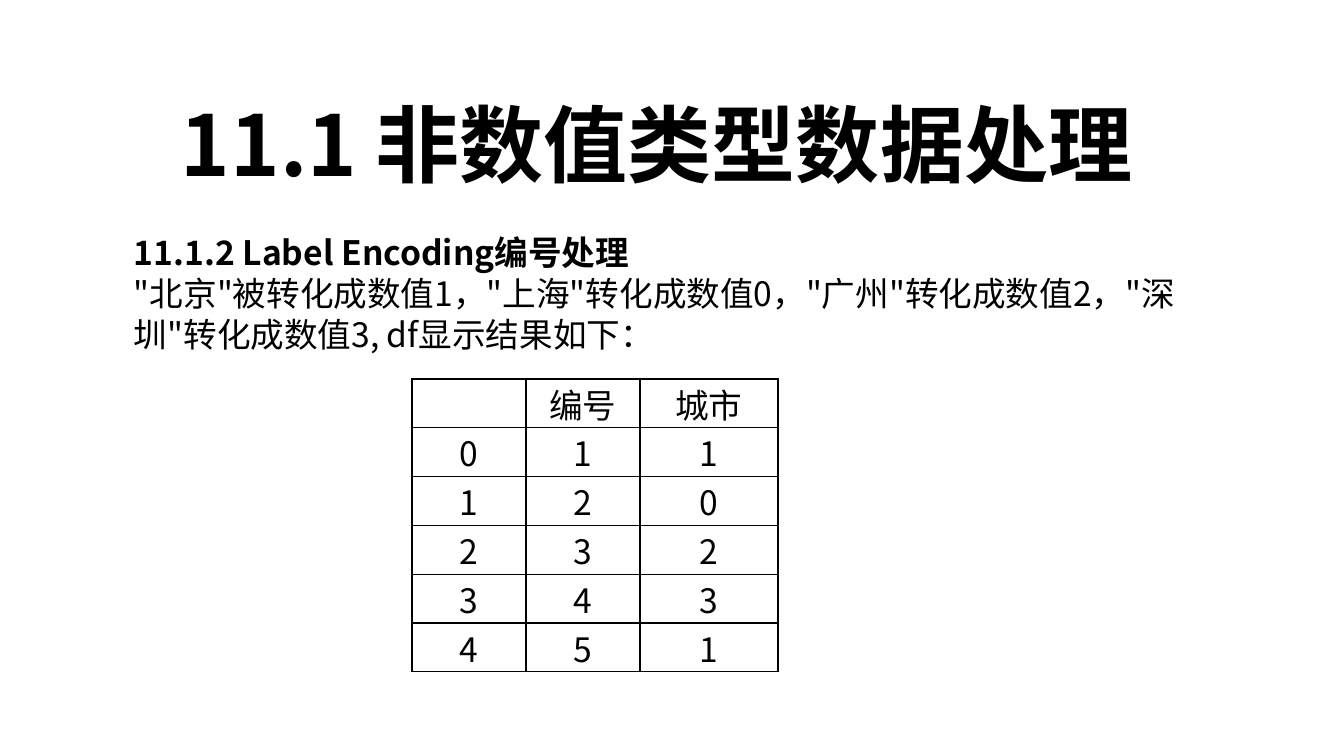
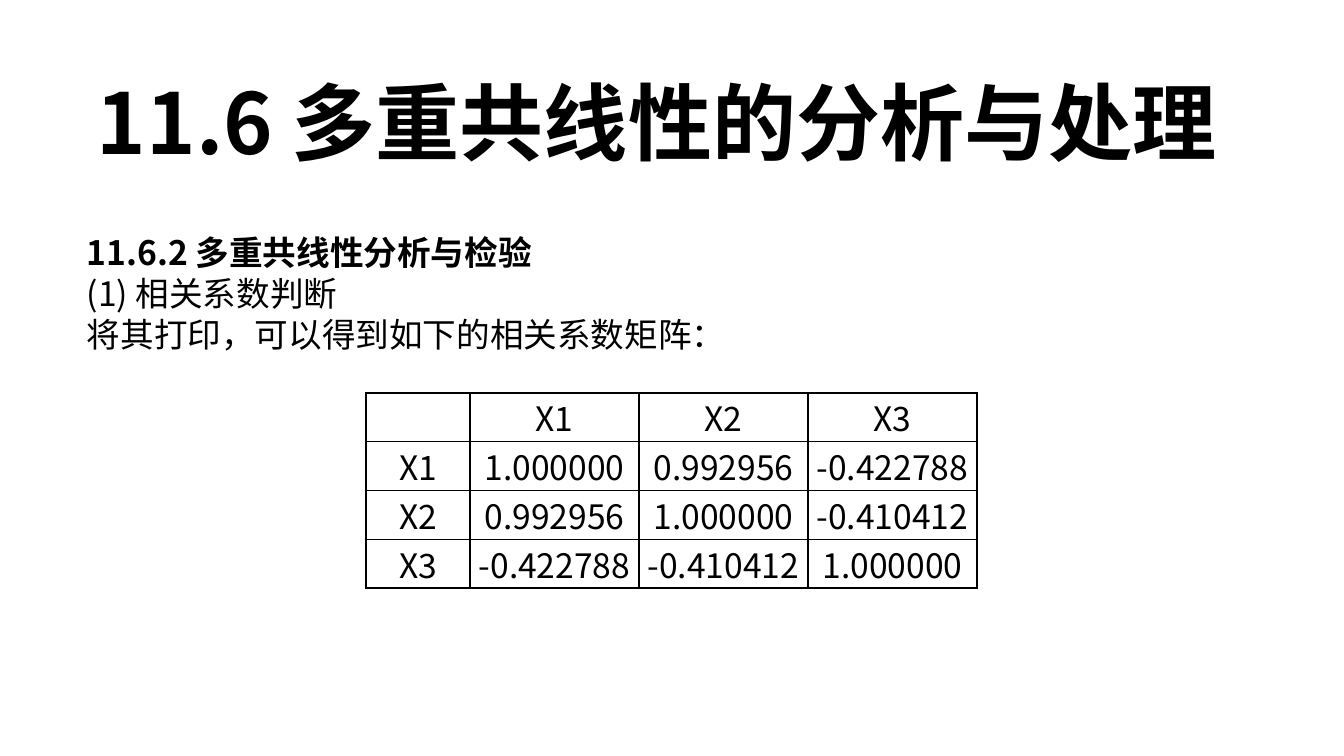
import pptx
import pptx.util
import pptx.dml.color
import pptx.enum.text
import pptx.oxml
import pptx.oxml.ns
from lxml import etree

# Content
DECK = [
    {
        "title": ("11.1 非数值类型数据处理", 171, 87, 1001),
        "box": (124, 1096),
        "head": "11.1.2 Label Encoding编号处理",
        "body": [
            "\"北京\"被转化成数值1，\"上海\"转化成数值0，\"广州\"转化成数值2，"
            "\"深圳\"转化成数值3, df显示结果如下：",
        ],
        "grid": (412, 379, 293),
        "cols": [114, 114, 138],
        "rows": [
            ("", "编号", "城市"),
            ("0", "1", "1"),
            ("1", "2", "0"),
            ("2", "3", "2"),
            ("3", "4", "3"),
            ("4", "5", "1"),
        ],
    },
    {
        "title": ("11.6 多重共线性的分析与处理", 87, 65, 1171),
        "box": (77, 1190),
        "head": "11.6.2 多重共线性分析与检验",
        "body": ["(1) 相关系数判断", "将其打印，可以得到如下的相关系数矩阵："],
        "grid": (366, 393, 195),
        "cols": [104, 169, 169, 169],
        "rows": [
            ("", "X1", "X2", "X3"),
            ("X1", "1.000000", "0.992956", "-0.422788"),
            ("X2", "0.992956", "1.000000", "-0.410412"),
            ("X3", "-0.422788", "-0.410412", "1.000000"),
        ],
    },
]

# Shared style
FONT = "Noto Sans CJK SC"
INK = "000000"
PAPER = "FFFFFF"
BIG, MID = 60, 24
LEAD = {"title": 72.6, "body": 29.1, "cell": 34.8}
BODY_Y, BODY_H, TITLE_H = 227, 132, 112
WIDE, HIGH = 1344, 756


def px(n):
    return pptx.util.Emu(round(n * 914400 / 100.8))


def color(code):
    return pptx.dml.color.RGBColor.from_string(code)


def write(para, text, size, lead, bold=False):
    para.line_spacing = pptx.util.Pt(lead)
    run = para.add_run()
    run.text = text
    font = run.font
    font.name, font.size, font.bold = FONT, pptx.util.Pt(size), bold
    font.color.rgb = color(INK)
    east = etree.SubElement(run._r.get_or_add_rPr(), pptx.oxml.ns.qn("a:ea"))
    east.set("typeface", FONT)


def add_box(slide, x, y, w, h, lines, size, lead, wrap=True):
    frame = slide.shapes.add_textbox(px(x), px(y), px(w), px(h)).text_frame
    frame.word_wrap = wrap
    for i, (text, bold) in enumerate(lines):
        para = frame.add_paragraph() if i else frame.paragraphs[0]
        write(para, text, size, lead, bold)


def border(cell):
    props = cell._tc.get_or_add_tcPr()
    space = pptx.oxml.ns.nsdecls("a")
    for i, side in enumerate(("lnL", "lnR", "lnT", "lnB")):
        props.insert(i, pptx.oxml.parse_xml(
            f'<a:{side} {space} w="12700"><a:solidFill><a:srgbClr val="{INK}"/>'
            f'</a:solidFill></a:{side}>'))


def add_grid(slide, place, cols, rows):
    x, y, h = place
    table = slide.shapes.add_table(
        len(rows), len(cols), px(x), px(y), px(sum(cols)), px(h)).table
    table.first_row = table.horz_banding = False
    for col, w in zip(table.columns, cols):
        col.width = px(w)
    for r, row in enumerate(rows):
        table.rows[r].height = px(h / len(rows))
        for c, text in enumerate(row):
            cell = table.cell(r, c)
            cell.margin_left = cell.margin_right = 0
            cell.margin_top = cell.margin_bottom = 0
            cell.vertical_anchor = pptx.enum.text.MSO_ANCHOR.MIDDLE
            cell.fill.background()
            border(cell)
            if text:
                para = cell.text_frame.paragraphs[0]
                para.alignment = pptx.enum.text.PP_ALIGN.CENTER
                write(para, text, MID, LEAD["cell"])


def add_page(deck, page):
    slide = deck.slides.add_slide(deck.slide_layouts[6])
    slide.background.fill.solid()
    slide.background.fill.fore_color.rgb = color(PAPER)
    # Title
    text, x, y, w = page["title"]
    add_box(slide, x, y, w, TITLE_H, [(text, True)], BIG, LEAD["title"], False)
    # Body
    x, w = page["box"]
    lines = [(page["head"], True)] + [(text, False) for text in page["body"]]
    add_box(slide, x, BODY_Y, w, BODY_H, lines, MID, LEAD["body"])
    # Table
    add_grid(slide, page["grid"], page["cols"], page["rows"])


def main():
    deck = pptx.Presentation()
    deck.slide_width, deck.slide_height = px(WIDE), px(HIGH)
    for page in DECK:
        add_page(deck, page)
    deck.save("out.pptx")


if __name__ == "__main__":
    main()
